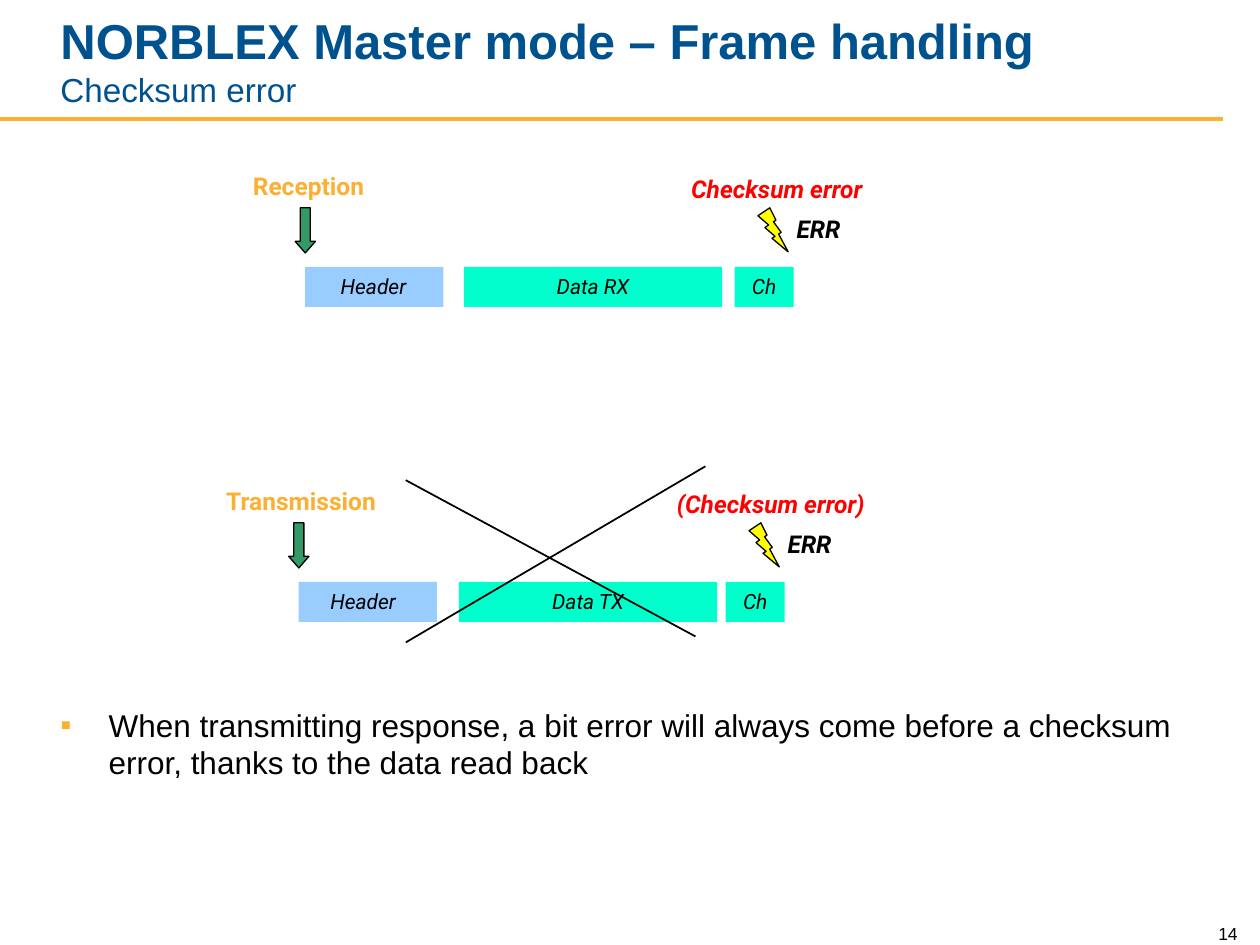
from dataclasses import dataclass

from lxml.etree import SubElement
from pptx import Presentation
from pptx.dml.color import RGBColor as Color
from pptx.enum.shapes import MSO_CONNECTOR as Connector, MSO_SHAPE as Preset
from pptx.enum.text import MSO_ANCHOR as Anchor, MSO_AUTO_SIZE as AutoSize, PP_ALIGN as Align
from pptx.oxml.ns import qn
from pptx.util import Cm, Pt


@dataclass(frozen=True)
class Theme:
    blue: str = "00528E"
    amber: str = "FBB034"
    black: str = "000000"
    red: str = "FF0000"
    header: str = "99CCFF"
    data: str = "00FFCC"
    bolt: str = "FFFF00"
    arrow: str = "339966"
    main_font: str = "Arial"
    diagram_font: str = "Roboto"
    title: int = 28
    subtitle: int = 19
    body: int = 18
    label: int = 14
    field: int = 12
    number: int = 10


@dataclass(frozen=True)
class Frame:
    name: str
    error: str
    data: str
    top: float
    header_left: float
    data_left: float
    check_left: float
    name_center: float
    error_center: float
    header_center: float


THEME = Theme()
FRAMES = (
    Frame("Transmission", "(Checksum error)", "Data TX", 11.73,
          6.02, 9.25, 14.63, 6.07, 15.54, 7.32),
    Frame("Reception", "Checksum error", "Data RX", 5.38,
          6.15, 9.35, 14.81, 6.22, 15.66, 7.53),
)


def add_span(para, text, size, color, font=THEME.main_font, bold=False, italic=False):
    span = para.add_run()
    span.text = text
    span.font.name = font
    span.font.size = Pt(size)
    span.font.color.rgb = Color.from_string(color)
    span.font.bold = bold
    span.font.italic = italic


def add_box(page, left, top, width, height, anchor=Anchor.TOP, wrap=True):
    box = page.shapes.add_textbox(Cm(left), Cm(top), Cm(width), Cm(height))
    box.text_frame.word_wrap = wrap
    box.text_frame.vertical_anchor = anchor
    return box.text_frame


def add_caption(page, text, center, top, width, size, color=THEME.black,
                bold=True, italic=True, wrap=False):
    height = 0.84 if size == THEME.label else 0.76
    frame = add_box(page, center - width / 2, top, width, height, wrap=wrap)
    frame.auto_size = AutoSize.SHAPE_TO_FIT_TEXT
    para = frame.paragraphs[0]
    para.alignment = Align.CENTER
    add_span(para, text, size, color, THEME.diagram_font, bold, italic)


def add_figure(page, preset, left, top, width, height, fill, outlined=False):
    figure = page.shapes.add_shape(preset, Cm(left), Cm(top), Cm(width), Cm(height))
    figure.shadow.inherit = False
    figure.fill.solid()
    figure.fill.fore_color.rgb = Color.from_string(fill)
    if outlined:
        figure.line.color.rgb = Color.from_string(THEME.black)
        figure.line.width = Pt(0.75)
    else:
        figure.line.fill.background()
    return figure


def add_line(page, start, end, color, width):
    line = page.shapes.add_connector(Connector.STRAIGHT, *map(Cm, start + end))
    line.line.color.rgb = Color.from_string(color)
    line.line.width = Pt(width)
    SubElement(line._element.spPr, qn("a:effectLst"))


def add_field(page, text, left, top, width, fill, center=None):
    add_figure(page, Preset.RECTANGLE, left, top, width, 0.81, fill)
    middle = center or left + width / 2
    text_width = 2 * min(middle - left, left + width - middle)
    add_caption(page, text, middle, top, text_width, THEME.field, bold=False, wrap=True)


def add_frame(page, frame):
    marker_top = frame.top - 1.19
    label_top = frame.top - 2.05
    add_field(page, "Header", frame.header_left, frame.top, 2.79,
              THEME.header, frame.header_center)
    add_field(page, frame.data, frame.data_left, frame.top, 5.21, THEME.data)
    add_field(page, "Ch", frame.check_left, frame.top, 1.19, THEME.data)
    arrow = add_figure(page, Preset.DOWN_ARROW, frame.header_left - 0.2, marker_top,
                       0.41, 0.91, THEME.arrow, outlined=True)
    arrow.adjustments[0] = 0.5
    arrow.adjustments[1] = 0.57
    add_figure(page, Preset.LIGHTNING_BOLT, frame.check_left + 0.47, marker_top,
               0.61, 0.89, THEME.bolt, outlined=True)
    add_caption(page, frame.name, frame.name_center, label_top, 3.7,
                THEME.label, THEME.amber, italic=False)
    add_caption(page, frame.error, frame.error_center, label_top + 0.05, 4.6,
                THEME.label, THEME.red)
    add_caption(page, "ERR", frame.check_left + 1.69, marker_top, 1.55, THEME.label)


def add_title(page, title, subtitle):
    para = add_box(page, 0.97, 0.43, 20.75, 1.9, Anchor.BOTTOM).paragraphs[0]
    add_span(para, title, THEME.title, THEME.blue, bold=True)
    para.add_line_break()
    add_span(para, subtitle, THEME.subtitle, THEME.blue)


def add_bullet(page, text):
    para = add_box(page, 0.97, 14.1, 23.06, 2.84).paragraphs[0]
    para.space_before = Pt(3.6)
    add_span(para, text, THEME.body, THEME.black)
    properties = para._p.get_or_add_pPr()
    properties.set("marL", str(Cm(0.97)))
    properties.set("indent", str(Cm(-0.97)))
    bullet_color = SubElement(properties, qn("a:buClr"))
    SubElement(bullet_color, qn("a:srgbClr"), val=THEME.amber)
    SubElement(properties, qn("a:buFont"), typeface=THEME.main_font)
    SubElement(properties, qn("a:buChar"), char="▪")


def add_number(page, number):
    para = add_box(page, 23.93, 18.39, 1.27, 0.76, Anchor.BOTTOM).paragraphs[0]
    para.alignment = Align.RIGHT
    add_span(para, number, THEME.number, THEME.black)


def main():
    deck = Presentation()
    deck.slide_width, deck.slide_height = Cm(25.4), Cm(19.05)
    page = deck.slides.add_slide(deck.slide_layouts[6])
    add_line(page, (0, 2.39), (24.66, 2.39), THEME.amber, 2.25)
    add_number(page, "14")
    add_title(page, "NORBLEX Master mode – Frame handling", "Checksum error")
    add_bullet(page, "When transmitting response, a bit error will always come "
                     "before a checksum error, thanks to the data read back")
    for frame in FRAMES:
        add_frame(page, frame)
    add_line(page, (8.18, 12.95), (14.22, 9.4), THEME.black, 1)
    add_line(page, (8.18, 9.68), (14.02, 12.83), THEME.black, 1)
    deck.save("out.pptx")


if __name__ == "__main__":
    main()
